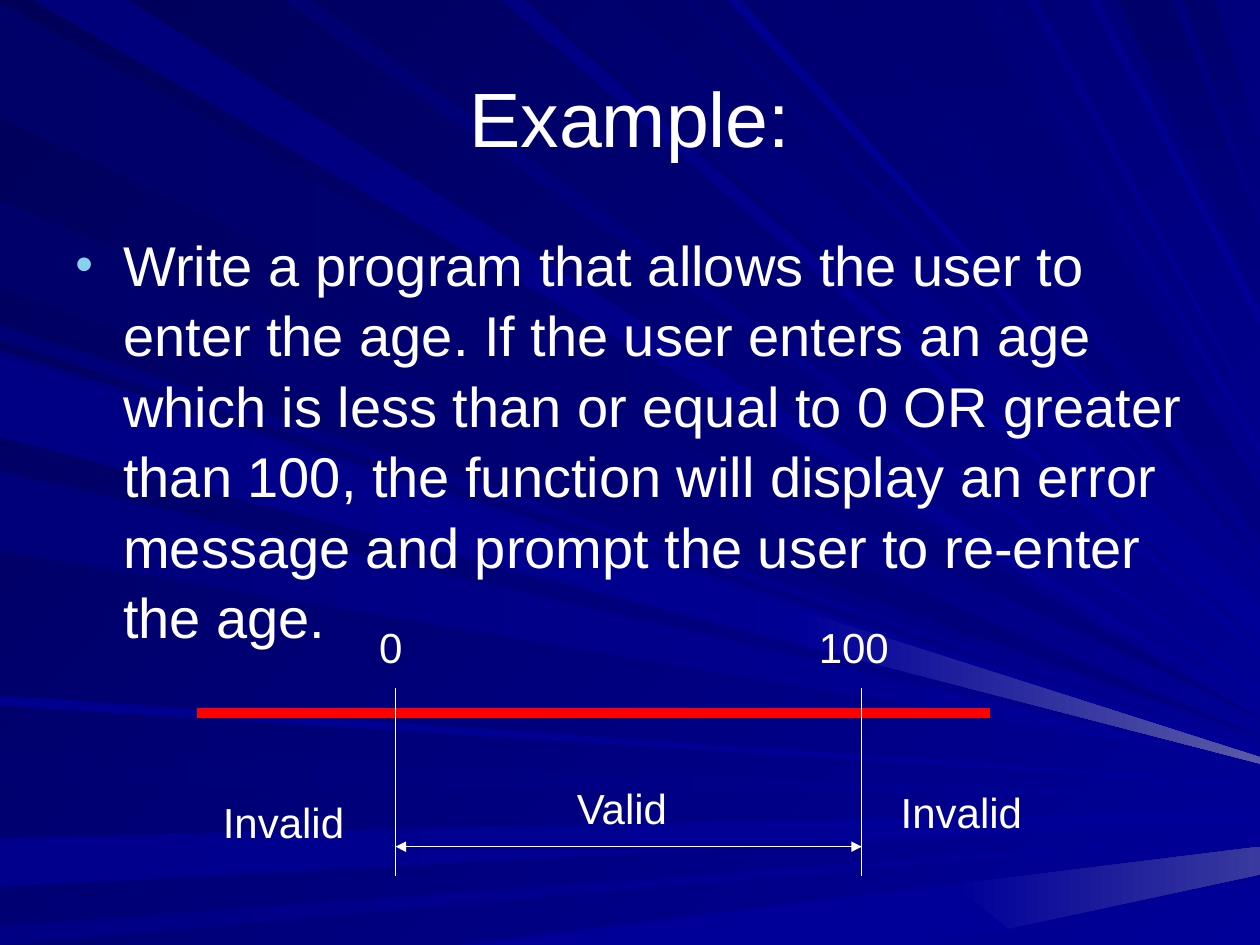
import pptx
import pptx.util
import pptx.dml.color
import pptx.enum.shapes
import pptx.enum.text
import pptx.oxml
import pptx.oxml.ns
import lxml.etree

theme = {
    "font": "Arial", "text": "FFFFFF", "bullet": "86D1EC", "scale": "FF0000",
    "dark": "000058", "light": "000099", "glow": "39399E", "shine": "5A5AA6",
    "title": 44, "body": 32, "label": 24, "thick": 6, "thin": 0.75,
}

deck = pptx.Presentation()
deck.slide_width = pptx.util.Inches(10)
deck.slide_height = pptx.util.Inches(7.5)
slide = deck.slides.add_slide(deck.slide_layouts[6])
shapes = slide.shapes

# The grid has 1000 columns and 750 rows of square cells
cell = deck.slide_width // 1000
tint = pptx.dml.color.RGBColor.from_string
anchor = pptx.enum.text.MSO_ANCHOR
align = pptx.enum.text.PP_ALIGN


def blend(fill, first, last, angle):
    """Fill from first to last colour; the angle runs clockwise."""
    fill.gradient()
    fill.gradient_angle = (360 - angle) % 360
    for stop, shade in zip(fill.gradient_stops, (first, last)):
        stop.color.rgb = tint(shade)


def write(text, left, top, width, height, size, wrap=True, middle=False,
          center=False, bullet=False, space=None):
    box = shapes.add_textbox(*(cell * n for n in (left, top, width, height)))
    frame = box.text_frame
    frame.word_wrap = wrap
    if not wrap:
        frame.auto_size = pptx.enum.text.MSO_AUTO_SIZE.SHAPE_TO_FIT_TEXT
    frame.vertical_anchor = anchor.MIDDLE if middle else anchor.TOP
    para = frame.paragraphs[0]
    para.alignment = align.CENTER if center else align.LEFT
    if bullet:
        props = para._p.get_or_add_pPr()
        props.set("marL", str(38 * cell))
        props.set("indent", str(-38 * cell))
        names = pptx.oxml.ns.nsdecls("a")
        for part in (
            f'<a:buClr {names}><a:srgbClr val="{theme["bullet"]}"/></a:buClr>',
            f'<a:buSzPct {names} val="90000"/>',
            f'<a:buFont {names} typeface="{theme["font"]}"/>',
            f'<a:buChar {names} char="•"/>',
        ):
            props.append(pptx.oxml.parse_xml(part))
    if space:
        para.line_spacing = space
    run = para.add_run()
    run.text = text
    run.font.name = theme["font"]
    run.font.size = pptx.util.Pt(size)
    run.font.color.rgb = tint(theme["text"])


# Background: a diagonal blend
blend(slide.background.fill, theme["dark"], theme["light"], 45)

# Rays run from a slide edge to the right side: edge, blues,
# start, stop, row at the right, and rows of spread there
rays = [
    ("left", "69 80", 2, 93, 570, 0),
    ("top", "7B 99", 26, 101, 563, 0),
    ("left", "71 99", 596, 623, 632, 0),
    ("left", "8C 99", 665, 704, 643, 8),
    ("left", "85 99", 735, 750, 662, 0),
    ("left", "76 99", 258, 270, 589, 0),
    ("left", "6B 80", 159, 228, 585, 0),
    ("top", "83 99", 398, 416, 515, 6),
    ("top", "6D 99", 426, 492, 479, 28),
    ("top", "73 99", 540, 552, 463, 0),
    ("top", "73 80", 606, 661, 446, 0),
    ("top", "6B 80", 887, 930, 183, 54),
    ("top", "6D 80", 939, 964, 114, 53),
    ("left", "7E 99", 278, 342, 596, 6),
    ("left", "7B 99", 374, 437, 606, 0),
    ("left", "8E 99", 552, 560, 621, 2),
    ("top", "70 99", 225, 247, 547, 5),
    ("top", "8E 99", 577, 588, 454, 0),
    ("top", "73 80", 686, 770, 390, 38),
    ("top", "78 99", 785, 792, 354, 6),
    ("top", "85 99", 815, 824, 336, 0),
    ("top", "8A 99", 865, 872, 249, 9),
    ("left", "85 99", 283, 347, 601, 5),
]
forms = []
for edge, blues, start, stop, row, spread in rays:
    first, last = ("0000" + blue for blue in blues.split())
    if edge == "left":
        points = [(0, start), (0, stop), (1000, row + spread), (1000, row)]
        forms.append((first, last, 0, points))
    else:
        points = [(start, 0), (stop, 0), (1000, row), (1000, row + spread)]
        forms.append((first, last, 90 if last == "000080" else 45, points))

# Bright ends of two rays, and a flat one at the foot
light = theme["light"]
forms += [
    (light, theme["shine"], 0, [(637, 485), (633, 511), (1000, 606), (1000, 601)]),
    (light, theme["glow"], 0, [(756, 702), (800, 737), (1000, 694), (1000, 672)]),
    (light, light, 0, [(364, 750), (756, 702), (800, 737), (742, 750)]),
]
for first, last, angle, points in forms:
    pen = shapes.build_freeform(*points[0], scale=cell)
    pen.add_line_segments(points[1:], close=True)
    ray = pen.convert_to_shape()
    ray.shadow.inherit = False
    ray.line.fill.background()
    blend(ray.fill, first, last, angle)

# Title and task
write("Example:", 50, 30, 900, 125, theme["title"], middle=True, center=True)
write("Write a program that allows the user to enter the age. If the user "
      "enters an age which is less than or equal to 0 OR greater than 100, "
      "the function will display an error message and prompt the user to "
      "re-enter the age.",
      50, 175, 900, 495, theme["body"], bullet=True, space=1.05)

# Number line: red scale, two limits and the span between them
low, high = 314, 684
lines = [
    (156, 566, 786, 566, "scale", "thick", False),
    (low, 546, low, 695, "text", "thin", False),
    (high, 546, high, 695, "text", "thin", False),
    (low, 672, high, 672, "text", "thin", True),
]
for *ends, shade, weight, arrows in lines:
    line = shapes.add_connector(pptx.enum.shapes.MSO_CONNECTOR.STRAIGHT,
                                *(cell * n for n in ends))
    line.line.color.rgb = tint(theme[shade])
    line.line.width = pptx.util.Pt(theme[weight])
    if arrows:
        for end in ("a:headEnd", "a:tailEnd"):
            tip = lxml.etree.SubElement(line.line._get_or_add_ln(),
                                        pptx.oxml.ns.qn(end))
            tip.set("type", "triangle")
    lxml.etree.SubElement(line._element.spPr, pptx.oxml.ns.qn("a:effectLst"))

# Labels of the limits and ranges
for text, left, top, width in [
    ("0", 291, 488, 39), ("100", 640, 488, 76), ("Invalid", 167, 627, 117),
    ("Invalid", 705, 619, 117), ("Valid", 448, 616, 94),
]:
    write(text, left, top, width, 50, theme["label"], wrap=False)

deck.save("out.pptx")
